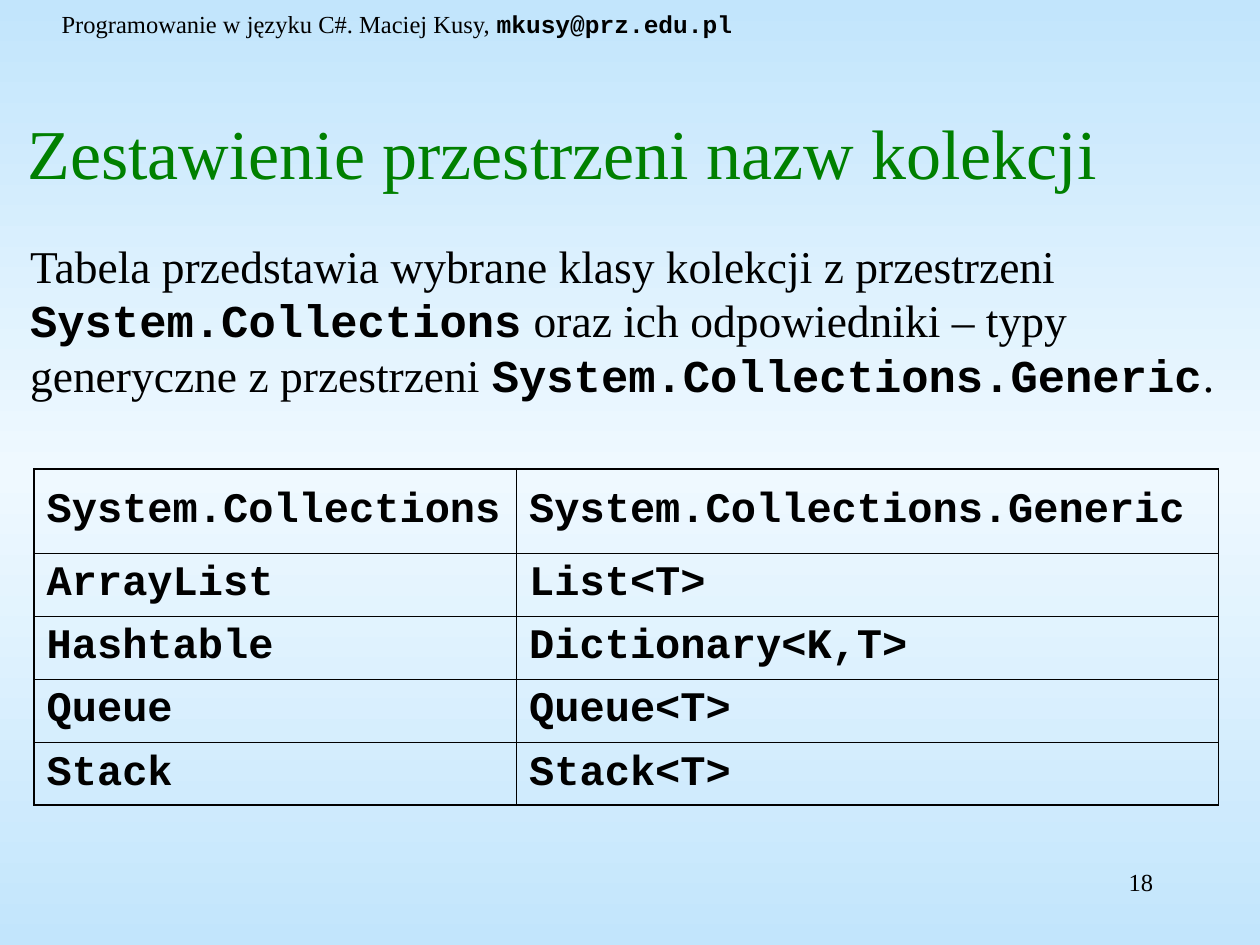
from copy import deepcopy
from dataclasses import dataclass

from lxml import etree
from pptx import Presentation
from pptx.dml.color import RGBColor
from pptx.enum.text import MSO_ANCHOR, PP_ALIGN
from pptx.oxml.ns import qn
from pptx.util import Inches, Pt

MIDDLE, TOP = MSO_ANCHOR.MIDDLE, MSO_ANCHOR.TOP
LEFT, RIGHT = PP_ALIGN.LEFT, PP_ALIGN.RIGHT
BLANK_LAYOUT = 6


@dataclass(frozen=True)
class Theme:
    width: float = 10
    height: float = 7.5
    serif: str = "Times New Roman"
    code: str = "Courier New"
    ink: str = "000000"
    heading: str = "008000"
    edge_sky: str = "C2E5FC"
    middle_sky: str = "EFF9FF"
    small_size: float = 14
    table_size: float = 24
    body_size: float = 26
    title_size: float = 40
    outer_line: float = 1.08
    inner_line: float = 0.45


THEME = Theme()

COLLECTIONS = [
    ("System.Collections", "System.Collections.Generic"),
    ("ArrayList", "List<T>"),
    ("Hashtable", "Dictionary<K,T>"),
    ("Queue", "Queue<T>"),
    ("Stack", "Stack<T>"),
]


def place(left, top, width, height):
    """Turn shares of the slide's size into lengths."""
    return (Inches(left * THEME.width), Inches(top * THEME.height),
            Inches(width * THEME.width), Inches(height * THEME.height))


def paint_background(slide):
    fill = slide.background.fill
    fill.gradient()
    fill.gradient_angle = 270
    stop_list = slide.element.find(".//" + qn("a:gsLst"))
    stop_list.insert(1, deepcopy(stop_list[0]))
    colors = (THEME.edge_sky, THEME.middle_sky, THEME.edge_sky)
    for index, (stop, color) in enumerate(zip(fill.gradient_stops, colors)):
        stop.color.rgb = RGBColor.from_string(color)
        stop.position = index / 2


def style_font(font, size, color=THEME.ink):
    font.size = Pt(size)
    font.color.rgb = RGBColor.from_string(color)


def add_text(slide, box, parts, size, color=THEME.ink, align=LEFT,
             anchor=TOP, space_before=0):
    """Add a text box; parts alternate between plain text and code."""
    frame = slide.shapes.add_textbox(*place(*box)).text_frame
    frame.word_wrap = True
    frame.vertical_anchor = anchor
    paragraph = frame.paragraphs[0]
    paragraph.alignment = align
    paragraph.space_before = Pt(space_before)
    style_font(paragraph.font, size, color)
    for index, part in enumerate(parts):
        is_code = index % 2 == 1
        run = paragraph.add_run()
        run.text = part
        run.font.name = THEME.code if is_code else THEME.serif
        run.font.bold = is_code


def set_borders(cell, outer_sides):
    properties = cell._tc.get_or_add_tcPr()
    for side in ("L", "R", "T", "B"):
        width = THEME.outer_line if side in outer_sides else THEME.inner_line
        line = etree.SubElement(properties, qn("a:ln" + side), w=str(Pt(width)))
        fill = etree.SubElement(line, qn("a:solidFill"))
        etree.SubElement(fill, qn("a:srgbClr"), val=THEME.ink)


def fill_cell(cell, text, outer_sides):
    set_borders(cell, outer_sides)
    cell.fill.background()
    cell.vertical_anchor = MIDDLE
    paragraph = cell.text_frame.paragraphs[0]
    paragraph.text = text
    paragraph.space_before = Pt(6)
    style_font(paragraph.font, THEME.table_size)
    paragraph.font.name = THEME.code
    paragraph.font.bold = True


def add_collection_table(slide, box, column_widths, row_heights):
    rows, columns = len(row_heights), len(column_widths)
    table = slide.shapes.add_table(rows, columns, *place(*box)).table
    table.first_row = table.horz_banding = False
    for column, width in zip(table.columns, column_widths):
        column.width = Inches(width)
    for row, height in zip(table.rows, row_heights):
        row.height = Inches(height)
    for row, texts in enumerate(COLLECTIONS):
        for column, text in enumerate(texts):
            outer_sides = ("L" if column == 0 else "R")
            outer_sides += {0: "T", rows - 1: "B"}.get(row, "")
            fill_cell(table.cell(row, column), text, outer_sides)


def main():
    presentation = Presentation()
    presentation.slide_width = Inches(THEME.width)
    presentation.slide_height = Inches(THEME.height)
    slide = presentation.slides.add_slide(
        presentation.slide_layouts[BLANK_LAYOUT])
    paint_background(slide)

    # Page number
    add_text(slide, (0.717, 0.911, 0.208, 0.067), ["18"],
             THEME.small_size, align=RIGHT)

    # Title
    add_text(slide, (0.012, 0.104, 0.909, 0.113),
             ["Zestawienie przestrzeni nazw kolekcji"],
             THEME.title_size, THEME.heading, anchor=MIDDLE)

    # Course line
    add_text(slide, (0.039, 0.003, 0.632, 0.045),
             ["Programowanie w języku C#. Maciej Kusy, ", "mkusy@prz.edu.pl"],
             THEME.small_size, space_before=8.8)

    # Collection classes and their generic counterparts
    add_collection_table(slide, (0.027, 0.496, 0.94, 0.357),
                         (3.83, 5.57), [0.67] + [0.5] * 4)

    # Introduction
    add_text(slide, (0.014, 0.245, 0.971, 0.187),
             ["Tabela przedstawia wybrane klasy kolekcji z przestrzeni ",
              "System.Collections",
              " oraz ich odpowiedniki – typy generyczne z przestrzeni ",
              "System.Collections.Generic", "."],
             THEME.body_size, space_before=16.2)

    presentation.save("out.pptx")


if __name__ == "__main__":
    main()
